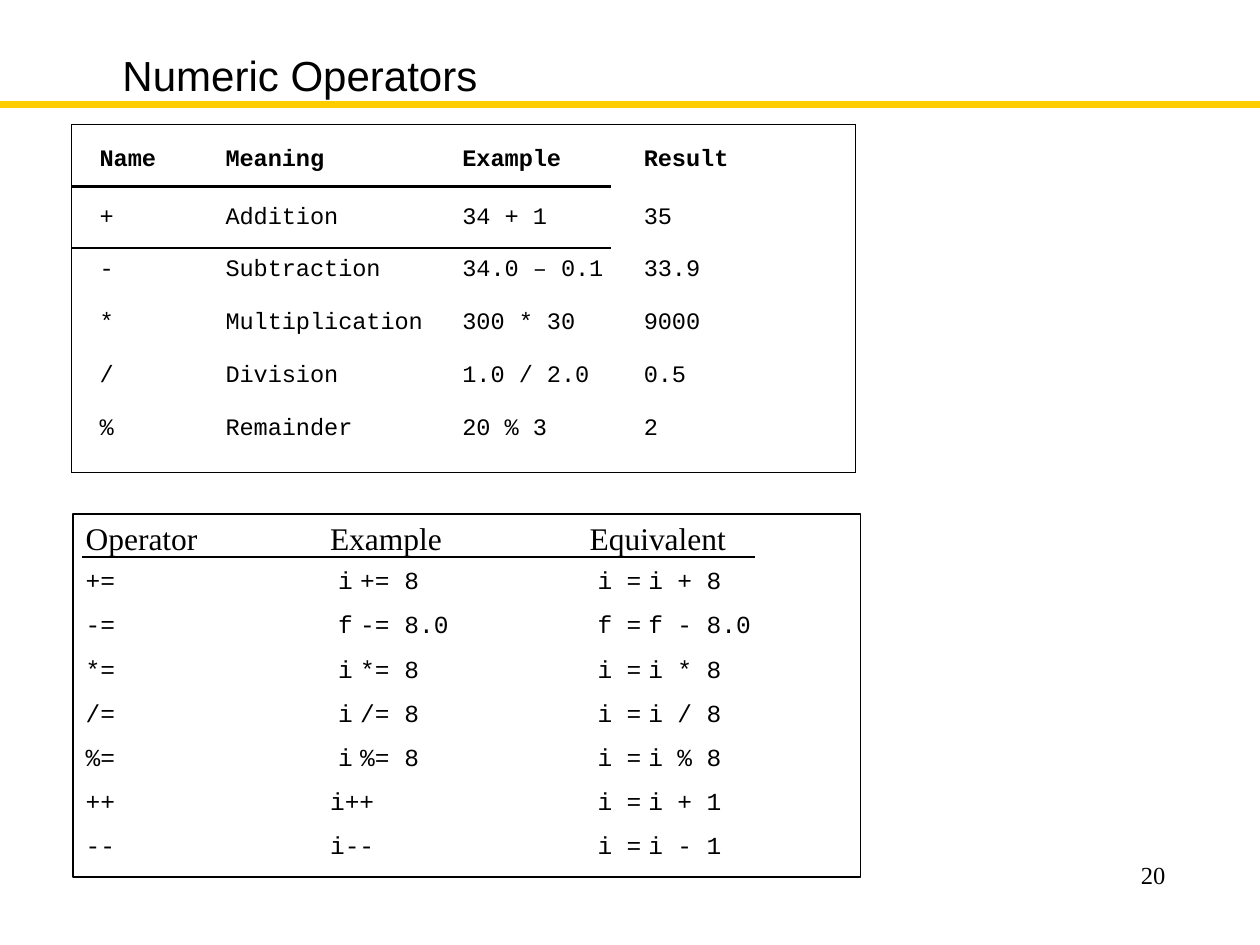
from lxml import etree
from pptx import Presentation
from pptx.dml.color import RGBColor
from pptx.enum.shapes import MSO_CONNECTOR, MSO_SHAPE
from pptx.enum.text import MSO_ANCHOR, PP_ALIGN
from pptx.oxml.ns import qn
from pptx.util import Pt

LEFT, CENTER, RIGHT = PP_ALIGN.LEFT, PP_ALIGN.CENTER, PP_ALIGN.RIGHT
TOP, MIDDLE = MSO_ANCHOR.TOP, MSO_ANCHOR.MIDDLE
PLAIN_TABLE = "{2D5ABB26-0587-4C30-8999-92F81FD0307C}"

THEME = {
    "ink": RGBColor(0x00, 0x00, 0x00),
    "rule": RGBColor(0xFF, 0xCC, 0x00),
    "title": {"name": "Arial", "size": Pt(24), "bold": False},
    "label": {"name": "Times New Roman", "size": Pt(18), "bold": False},
    "number": {"name": "Times New Roman", "size": Pt(14), "bold": False},
    "head": {"name": "Courier New", "size": Pt(13.5), "bold": True},
    "code": {"name": "Courier New", "size": Pt(13.5), "bold": False},
    "assign": {"name": "Courier New", "size": Pt(14), "bold": False},
}

prs = Presentation()
prs.slide_width, prs.slide_height = Pt(720), Pt(540)
U = prs.slide_width // 100  # square grid: 100 columns by 75 rows
s = prs.slides.add_slide(prs.slide_layouts[6])


def write(tf, text, style, align=LEFT, indent=0):
    """Write one paragraph in a theme style, indented in grid columns."""
    tf.word_wrap = True
    p = tf.paragraphs[0]
    p.alignment = align
    p._p.get_or_add_pPr().set("marL", str(int(indent * U)))
    r = p.add_run()
    r.text = text
    for key, value in THEME[style].items():
        setattr(r.font, key, value)
    r.font.color.rgb = THEME["ink"]
    return p


def style_cell(cell, top, borders):
    """Set the top margin, clear the fill and draw the given borders (points)."""
    cell.margin_left = cell.margin_right = cell.margin_bottom = 0
    cell.margin_top = int(top * U)
    tcPr = cell._tc.get_or_add_tcPr()
    for side in "LRTB":
        if side in borders:
            ln = etree.SubElement(tcPr, qn(f"a:ln{side}"), w=str(Pt(borders[side])))
            fill = etree.SubElement(ln, qn("a:solidFill"))
            etree.SubElement(fill, qn("a:srgbClr"), val=str(THEME["ink"]))
    cell.fill.background()


# Yellow rule under the title
rule = s.shapes.add_connector(MSO_CONNECTOR.STRAIGHT, 0, int(8.3 * U), 100 * U, int(8.3 * U))
rule.line.color.rgb, rule.line.width = THEME["rule"], Pt(4)
etree.SubElement(rule._element.spPr, qn("a:effectLst"))

# Frame around the assignment operators
frame = s.shapes.add_shape(MSO_SHAPE.RECTANGLE, *(int(v * U) for v in (5.8, 40.8, 62.5, 28.8)))
frame.shadow.inherit = False
frame.fill.background()
frame.line.color.rgb, frame.line.width = THEME["ink"], Pt(1)

# Title, column labels and slide number
for text, style, align, anchor, box in [
    ("Numeric Operators", "title", CENTER, MIDDLE, (8.5, 3.7, 30.5, 4.3)),
    ("Operator", "label", LEFT, TOP, (6.7, 41.1, 9.4, 3.3)),
    ("Example", "label", LEFT, TOP, (26.1, 41.1, 9.4, 3.3)),
    ("Equivalent", "label", LEFT, TOP, (46.7, 41.1, 11.4, 3.3)),
    ("20", "number", RIGHT, TOP, (71.7, 68.3, 20.8, 5)),
]:
    tf = s.shapes.add_textbox(*(int(v * U) for v in box)).text_frame
    tf.margin_left = tf.margin_right = tf.margin_bottom = 0
    tf.margin_top = 0 if style == "number" else U // 10
    tf.vertical_anchor = anchor
    p = write(tf, text, style, align, 0 if align == RIGHT else 0.1)
    if style == "number":
        p.line_spacing = Pt(16.4)

# Contents of the two tables
numeric = [
    ("Name", "Meaning", "Example", "Result"),
    ("+", "Addition", "34 + 1", "35"),
    ("-", "Subtraction", "34.0 – 0.1", "33.9"),
    ("*", "Multiplication", "300 * 30", "9000"),
    ("/", "Division", "1.0 / 2.0", "0.5"),
    ("%", "Remainder", "20 % 3", "2"),
]
assignments = [
    (op, var, op, n, var, "=", var, op[0], n)
    for op, var, n in [("+=", "i", "8"), ("-=", "f", "8.0"), ("*=", "i", "8"),
                       ("/=", "i", "8"), ("%=", "i", "8")]
]
# None marks a cell merged into the one on its left
assignments += [(op, "i" + op, None, "i", None, "=", "i", op[0], "1") for op in ("++", "--")]

# Empty tables on the grid
tables = []
for x, y, cols, rows in [
    (5.7, 9.9, (9.4, 21, 12.4, 19.4), (4.9, 4.9, 4.2, 4.2, 4.2, 5.2)),
    (6.5, 44.2, (11.2, 10.3, 3.5, 9.7, 7.4, 2.3, 2.3, 2.3, 4.4),
     (4.2, 3.5, 3.5, 3.5, 2.8, 4.2, 2.8)),
]:
    table = s.shapes.add_table(len(rows), len(cols), int(x * U), int(y * U),
                               int(sum(cols) * U), int(sum(rows) * U)).table
    table.first_row = table.horz_banding = False
    table._tbl.tblPr.find(qn("a:tableStyleId")).text = PLAIN_TABLE
    for col, width in zip(table.columns, cols):
        col.width = int(width * U)
    for row, height in zip(table.rows, rows):
        row.height = int(height * U)
    tables.append(table)
numeric_table, assign_table = tables

# Numeric operators: outer box, rules under the first two rows
last_row, last_col = len(numeric) - 1, len(numeric[0]) - 1
for i, values in enumerate(numeric):
    for j, text in enumerate(values):
        borders = {}
        if i == 0:
            borders["T"] = 0.75
        if j == 0:
            borders["L"] = 0.75
        if j == last_col:
            borders["R"] = 0.75
        if i == last_row:
            borders["B"] = 0.75
        elif i < 2 and j < last_col:
            borders["B"] = 1.5
        cell = numeric_table.cell(i, j)
        style_cell(cell, (1.8, 1.5)[i] if i < 2 else 0.7, borders)
        write(cell.text_frame, text, "code" if i else "head", indent=(2.2, 2.8, 0.6, 2.6)[j])

# Assignment operators: one rule on top, each expression split over columns
aligns = (LEFT, RIGHT, CENTER, LEFT, RIGHT, RIGHT, CENTER, CENTER, LEFT)
indents = (0.3, 0, 0, 0.6, 0, 0, 0, 0, 0.6)
for i, values in enumerate(assignments):
    for j, text in enumerate(values):
        cell = assign_table.cell(i, j)
        style_cell(cell, 1 if i in (0, 5) else 0.3, {"T": 1} if i == 0 else {})
        if text is None:
            assign_table.cell(i, j - 1).merge(cell)
            continue
        align, indent = aligns[j], indents[j]
        if None in values and j in (1, 3):
            align, indent = (LEFT, 8.5) if j == 1 else (RIGHT, 0)
        write(cell.text_frame, text, "assign", align, indent)

prs.save("out.pptx")
